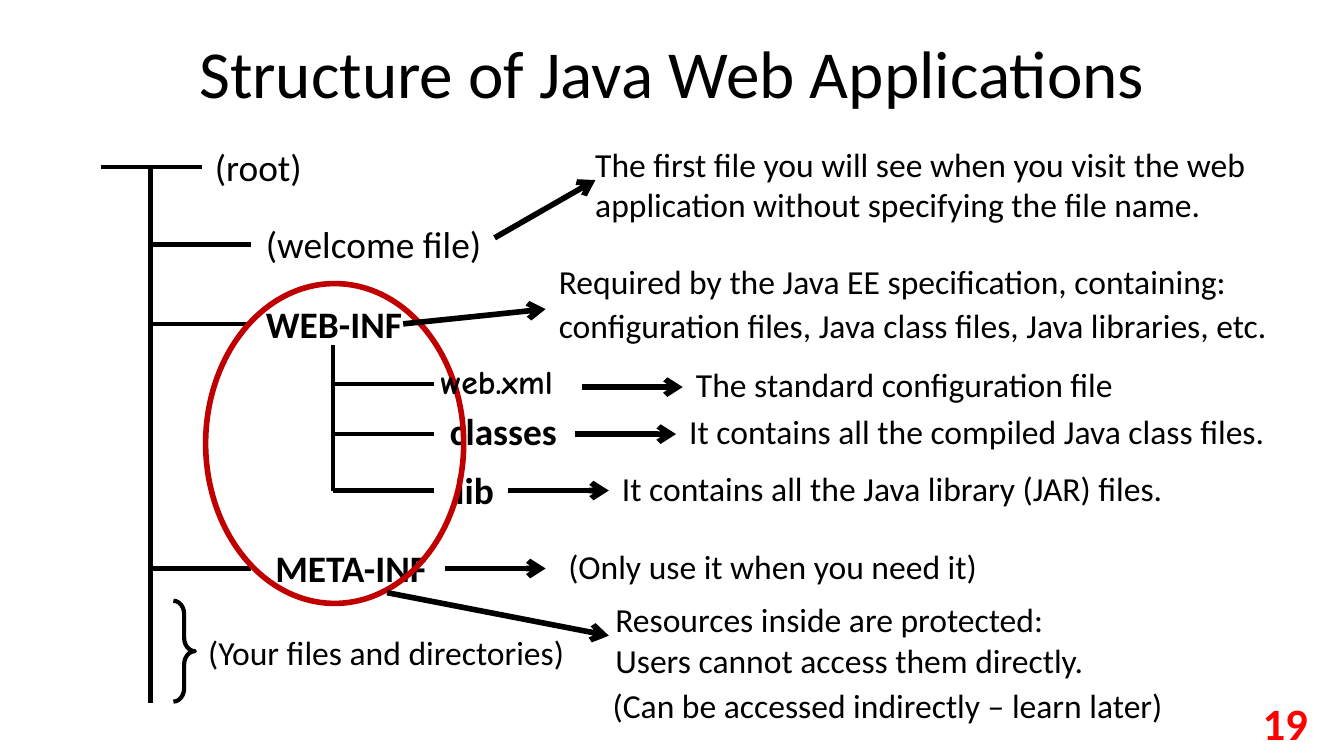
from dataclasses import dataclass

from lxml import etree
from pptx import Presentation
from pptx.dml.color import RGBColor
from pptx.enum import shapes, text
from pptx.oxml import ns
from pptx.util import Inches, Pt


@dataclass(frozen=True)
class Theme:
    """Colours, fonts, type sizes and line widths."""
    ink: str = "000000"
    ring: str = "C00000"
    page: str = "FF0000"
    font: str = "Calibri"
    hand: str = "Comic Neue"
    title: int = 36
    number: int = 24
    name: int = 20
    note: int = 18
    thin: float = 2.25
    thick: float = 3


T = Theme()
TRUNK, STEM, ARM = 1.12, 2.48, 0.75

# Left, top, width, height, words, bold
NAMES = [
    (1.5, 1.02, 0.86, 0.44, "(root)", False),
    (1.88, 1.6, 1.82, 0.44, "(welcome file)", False),
    (1.88, 2.19, 1.22, 0.44, "WEB-INF", True),
    (3.25, 2.99, 1, 0.44, "classes", True),
    (3.29, 3.43, 0.49, 0.44, "lib", True),
    (1.95, 4.01, 1.34, 0.44, "META-INF", True),
]
NOTES = [
    (4.33, 1.02, 5.11, 0.71, "The first file you will see when you visit the web\n"
     "application without specifying the file name."),
    (4.06, 1.89, 5.23, 0.4, "Required by the Java EE specification, containing:"),
    (4.06, 2.22, 5.57, 0.4,
     "configuration files, Java class files, Java libraries, etc."),
    (5.08, 2.66, 3.35, 0.4, "The standard configuration file"),
    (5.03, 3.01, 4.53, 0.4, "It contains all the compiled Java class files."),
    (4.53, 3.43, 4.27, 0.4, "It contains all the Java library (JAR) files."),
    (4.13, 4.01, 3.29, 0.4, "(Only use it when you need it)"),
    (1.45, 4.65, 2.89, 0.4, "(Your files and directories)"),
    (4.48, 4.41, 3.72, 0.71, "Resources inside are protected:\n"
     "Users cannot access them directly."),
    (4.46, 5.05, 4.35, 0.4, "(Can be accessed indirectly – learn later)"),
]
# Start and end of slanted arrows; start of level ones
SLANTS = [(3.68, 1.77, 4.43, 1.34), (3, 2.41, 4.06, 2.3), (2.88, 4.41, 4.53, 4.73)]
LEVELS = [(4.33, 2.88), (4.28, 3.23), (3.78, 3.65), (3.31, 4.23)]


def style(frame, words, size, color=T.ink, font=T.font, bold=False, align=None):
    """Fill a text frame, one paragraph to a line, in one style."""
    frame.text = words
    for para in frame.paragraphs:
        para.alignment = align
        para.font.name, para.font.size, para.font.bold = font, Pt(size), bold
        para.font.color.rgb = RGBColor.from_string(color)


def label(slide, x, y, w, h, words, size, **look):
    """Add a text box that fits its unwrapped words."""
    box = slide.shapes.add_textbox(*map(Inches, (x, y, w, h)))
    box.text_frame.word_wrap = False
    box.text_frame.auto_size = text.MSO_AUTO_SIZE.SHAPE_TO_FIT_TEXT
    style(box.text_frame, words, size, **look)


def line(slide, x1, y1, x2, y2, arrow=False):
    """Draw a thin tree line, or a thick arrow."""
    link = slide.shapes.add_connector(
        shapes.MSO_CONNECTOR.STRAIGHT, *map(Inches, (x1, y1, x2, y2)))
    link.line.color.rgb = RGBColor.from_string(T.ink)
    link.line.width = Pt(T.thick if arrow else T.thin)
    props = link._element.spPr
    if arrow:
        etree.SubElement(props.find(ns.qn("a:ln")), ns.qn("a:tailEnd"), type="arrow")
    etree.SubElement(props, ns.qn("a:effectLst"))


def outline(slide, kind, x, y, w, h, color, width):
    """Add a preset shape with a line and no fill."""
    shape = slide.shapes.add_shape(kind, *map(Inches, (x, y, w, h)))
    shape.shadow.inherit = False
    shape.fill.background()
    shape.line.color.rgb = RGBColor.from_string(color)
    shape.line.width = Pt(width)
    return shape


def head(slide):
    """Set the title and the page number."""
    title = slide.shapes.title
    title.left, title.top, title.width, title.height = map(Inches, (0.5, 0.06, 9, 0.94))
    title.text_frame.vertical_anchor = text.MSO_ANCHOR.MIDDLE
    style(title.text_frame, "Structure of Java Web Applications", T.title,
          align=text.PP_ALIGN.CENTER)
    page = slide.shapes.add_textbox(*map(Inches, (7.5, 5.23, 2.33, 0.3)))
    page.text_frame.word_wrap = True
    page.text_frame.vertical_anchor = text.MSO_ANCHOR.MIDDLE
    style(page.text_frame, "19", T.number, color=T.page, bold=True,
          align=text.PP_ALIGN.RIGHT)


def tree(slide):
    """Draw the trunk, the inner stem and their branches."""
    line(slide, 0.75, 1.24, 1.5, 1.24)
    for x, top, end, rows in ((TRUNK, 1.24, 5.23, (1.82, 2.41, 4.23)),
                              (STEM, 2.57, 3.65, (2.86, 3.23, 3.65))):
        line(slide, x, top, x, end)
        for y in rows:
            line(slide, x, y, x + ARM, y)


def main():
    """Build and save the slide."""
    deck = Presentation()
    deck.slide_width = Inches(10)
    deck.slide_height = deck.slide_width * 9 // 16
    slide = deck.slides.add_slide(deck.slide_layouts[5])
    head(slide)
    tree(slide)
    for *area, words, bold in NAMES:
        label(slide, *area, words, T.name, bold=bold)
    for *area, words in NOTES:
        label(slide, *area, words, T.note)
    brace = outline(slide, shapes.MSO_SHAPE.LEFT_BRACE,
                    1.29, 4.47, 0.16, 0.75, T.ink, T.thin)
    brace.rotation = 180
    brace.adjustments[0] = 0.62
    outline(slide, shapes.MSO_SHAPE.OVAL, 1.53, 2.11, 1.92, 2.38, T.ring, T.thick)
    label(slide, 3.18, 2.64, 1.19, 0.4, "web.xml", T.note, font=T.hand, bold=True)
    for ends in SLANTS:
        line(slide, *ends, arrow=True)
    for x, y in LEVELS:
        line(slide, x, y, x + ARM, y, arrow=True)
    deck.save("out.pptx")


main()
